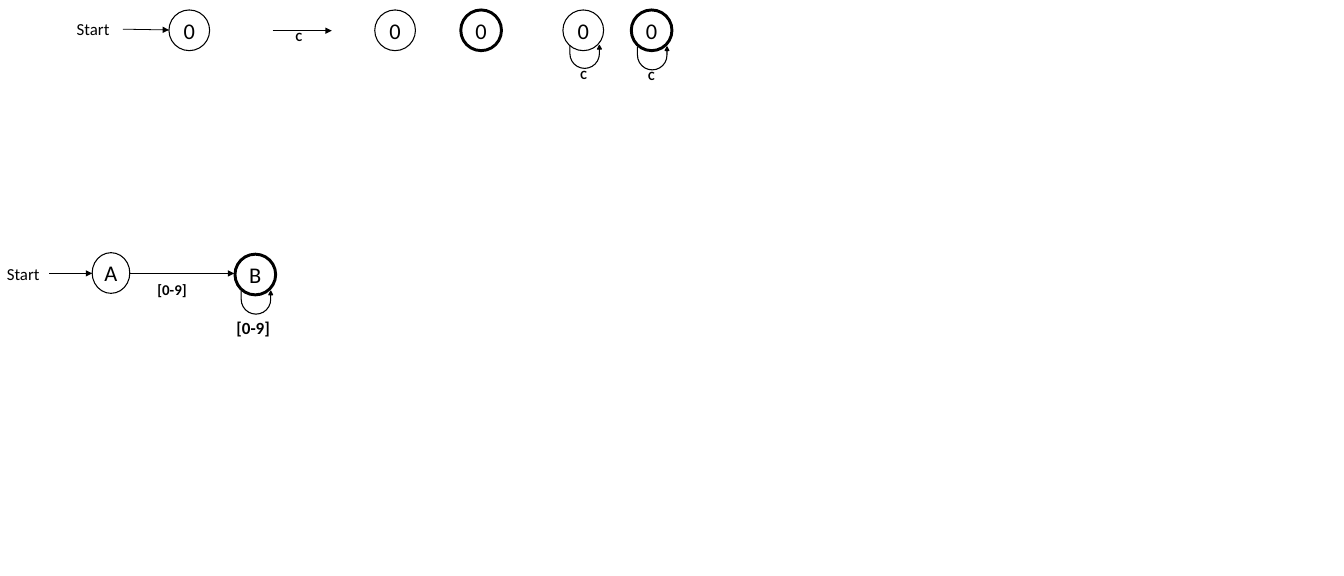
from lxml import etree
from pptx import Presentation
from pptx import util as u
from pptx.dml import color
from pptx.enum import shapes, text
from pptx.oxml import ns

PX = 9144
BLACK = "000000"
FONT = "Calibri"
THIN, BOLD = 1, 2.75


def px(n):
    return u.Emu(n * PX)


def rgb(value):
    return color.RGBColor.from_string(value)


def style_line(shape, width):
    shape.line.color.rgb = rgb(BLACK)
    shape.line.width = u.Pt(width)


def write(shape, words, size, bold=False, align=text.PP_ALIGN.LEFT):
    tf = shape.text_frame
    tf.text = words
    p = tf.paragraphs[0]
    p.alignment = align
    r = p.runs[0]
    r.font.name = FONT
    r.font.size = u.Pt(size)
    r.font.bold = bold
    r.font.color.rgb = rgb(BLACK)


def label(s, x, y, w, h, words, size, bold=True):
    sp = s.shapes.add_textbox(px(x), px(y), px(w), px(h))
    sp.text_frame.word_wrap = True
    write(sp, words, size, bold)


def state(s, x, y, name, w=53, width=THIN):
    sp = s.shapes.add_shape(shapes.MSO_SHAPE.OVAL, px(x), px(y), px(w), px(53))
    sp.shadow.inherit = False
    sp.fill.background()
    style_line(sp, width)
    tf = sp.text_frame
    tf.margin_left = tf.margin_right = 0
    tf.vertical_anchor = text.MSO_ANCHOR.MIDDLE
    write(sp, name, 21, align=text.PP_ALIGN.CENTER)


def arrow(s, x1, y1, x2, y2):
    line = s.shapes.add_connector(
        shapes.MSO_CONNECTOR.STRAIGHT, px(x1), px(y1), px(x2), px(y2))
    style_line(line, 0.75)
    etree.SubElement(line.line._get_or_add_ln(), ns.qn("a:tailEnd"), type="triangle")
    etree.SubElement(line._element.spPr, ns.qn("a:effectLst"))


def loop(s, x, y):
    sp = s.shapes.add_shape(
        shapes.MSO_SHAPE.U_TURN_ARROW, px(x), px(y), px(41), px(30))
    sp.shadow.inherit = False
    for i, value in enumerate((0, 0.085, 0.164, 0.717, 1)):
        sp.adjustments[i] = value
    sp.rotation = 180
    sp._element.spPr.find(ns.qn("a:xfrm")).set("flipH", "1")
    sp.fill.solid()
    sp.fill.fore_color.rgb = rgb(BLACK)
    style_line(sp, THIN)


def legend(s, x, y):
    label(s, x, y + 7, 70, 37, "Start", 15.8, False)
    arrow(s, x + 70, y + 25, x + 130, y + 26)
    arrow(s, x + 265, y + 27, x + 342, y + 27)
    label(s, x + 285, y + 20, 30, 30, "C", 11.8)
    for dx, width in ((130, THIN), (398, THIN), (510, BOLD), (643, THIN), (732, BOLD)):
        state(s, x + dx, y, "0", width=width)
    for dx, dy in ((652, 46), (740, 48)):
        loop(s, x + dx, y + dy)
        label(s, x + dx + 4, y + dy + 23, 30, 30, "C", 11.8)


def automaton(s, x, y):
    label(s, x, y + 9, 66, 37, "Start", 15.8, False)
    arrow(s, x + 65, y + 27, x + 121, y + 27)
    state(s, x + 121, y, "A", w=49)
    arrow(s, x + 170, y + 27, x + 306, y + 27)
    label(s, x + 196, y + 32, 76, 34, "[0-9]", 14)
    state(s, x + 307, y + 2, "B", width=BOLD)
    loop(s, x + 315, y + 50)
    label(s, x + 299, y + 79, 68, 37, "[0-9]", 16)


def main():
    prs = Presentation()
    prs.slide_width, prs.slide_height = px(1750), px(750)
    s = prs.slides.add_slide(prs.slide_layouts[6])
    legend(s, 90, 13)
    automaton(s, -1, 329)
    prs.save("out.pptx")


if __name__ == "__main__":
    main()
